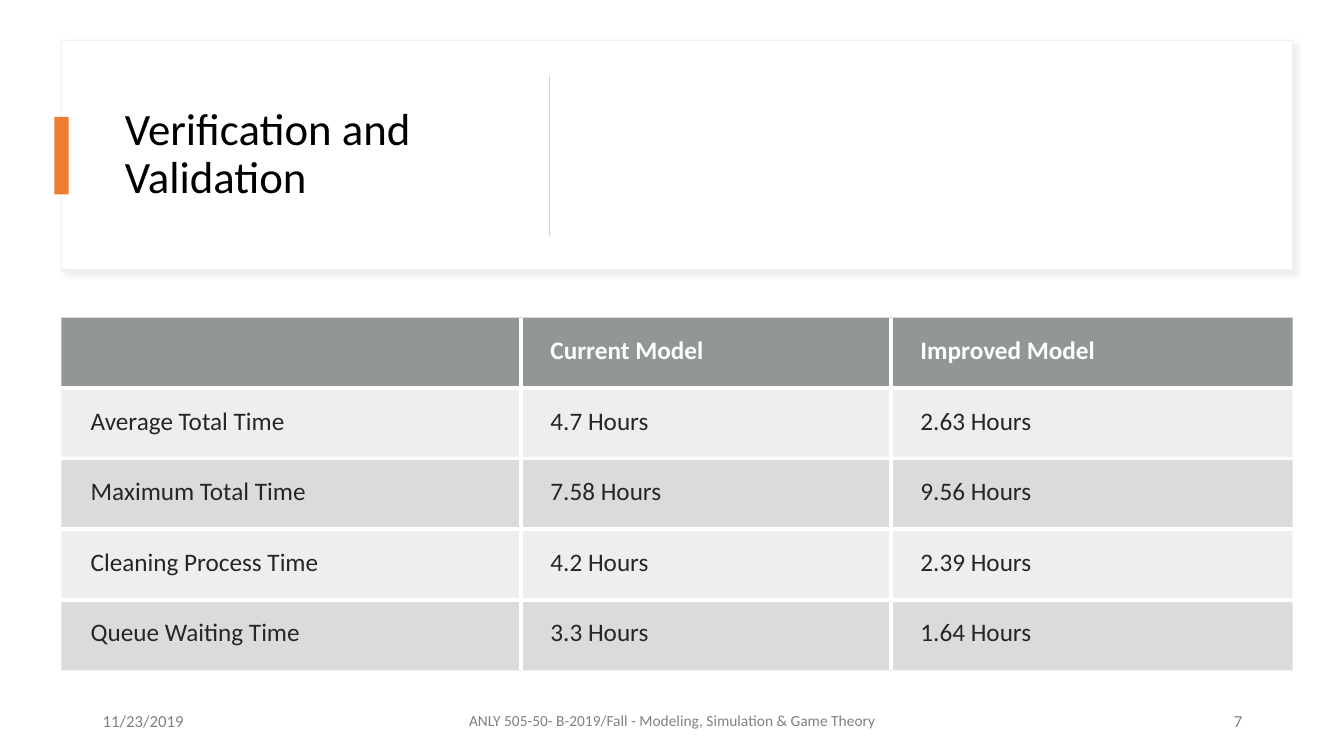
from lxml.etree import SubElement
from pptx import Presentation
from pptx.dml.color import RGBColor
from pptx.enum.shapes import MSO_SHAPE
from pptx.enum.text import MSO_ANCHOR, PP_ALIGN
from pptx.oxml import parse_xml
from pptx.oxml.ns import nsdecls, qn
from pptx.util import Inches, Pt

FONT = "Calibri"
WHITE, BLACK, GRAY, DARK = "FFFFFF", "000000", "808080", "262626"
ORANGE, PANEL_LINE, DIVIDER = "ED7D31", "EFEFEF", "D5D5D5"
HEADER_FILL, BODY_FILL = ("636B68", 70), ("878E8B", (15, 30))
LEFT, WIDTH = 0.61, 12.21
MODEL_TIMES = [
    ["", "Current Model", "Improved Model"],
    ["Average Total Time", "4.7 Hours", "2.63 Hours"],
    ["Maximum Total Time", "7.58 Hours", "9.56 Hours"],
    ["Cleaning Process Time", "4.2 Hours", "2.39 Hours"],
    ["Queue Waiting Time", "3.3 Hours", "1.64 Hours"],
]


def color(hex_value):
    return RGBColor.from_string(hex_value)


def write(frame, text, size=18, hex_value=BLACK, bold=False,
          align=PP_ALIGN.LEFT, line_spacing=None, space_after=0):
    frame.word_wrap = True
    paragraph = frame.paragraphs[0]
    paragraph.alignment = align
    paragraph.line_spacing = line_spacing
    paragraph.space_after = Pt(space_after)
    if not text:
        paragraph.font.size = Pt(size)
        return
    run = paragraph.add_run()
    run.text = text
    run.font.name = FONT
    run.font.size = Pt(size)
    run.font.bold = bold
    run.font.color.rgb = color(hex_value)


class SlideBuilder:
    def __init__(self, slide):
        self.slide = slide

    def rectangle(self, left, top, width, height, fill, line=None, rotation=0):
        shape = self.slide.shapes.add_shape(
            MSO_SHAPE.RECTANGLE, Inches(left), Inches(top), Inches(width), Inches(height))
        shape.shadow.inherit = False
        shape.rotation = rotation
        shape.fill.solid()
        shape.fill.fore_color.rgb = color(fill)
        if line:
            shape.line.color.rgb = color(line)
            shape.line.width = Pt(1)
        else:
            shape.line.fill.background()
        return shape

    def soft_shadow(self, shape):
        effects = shape._element.spPr.find(qn("a:effectLst"))
        effects.append(parse_xml(
            f'<a:outerShdw {nsdecls("a")} blurRad="{Pt(4)}" dist="{Pt(3)}" dir="2700000" '
            'algn="tl" rotWithShape="0"><a:srgbClr val="C5C3C3">'
            '<a:alpha val="30000"/></a:srgbClr></a:outerShdw>'))

    def text(self, left, top, width, height, text, **text_format):
        box = self.slide.shapes.add_textbox(
            Inches(left), Inches(top), Inches(width), Inches(height))
        box.text_frame.vertical_anchor = MSO_ANCHOR.MIDDLE
        write(box.text_frame, text, **text_format)

    def table(self, left, top, column_widths, row_height, rows):
        row_count, column_count = len(rows), len(column_widths)
        frame = self.slide.shapes.add_table(
            row_count, column_count, Inches(left), Inches(top),
            Inches(sum(column_widths)), Inches(row_height * row_count))
        table = frame.table
        for column, width in zip(table.columns, column_widths):
            column.width = Inches(width)
        for row_index, values in enumerate(rows):
            table.rows[row_index].height = Inches(row_height)
            header = row_index == 0
            body_color, body_alphas = BODY_FILL
            fill = HEADER_FILL if header else (body_color, body_alphas[(row_index - 1) % 2])
            for column_index, value in enumerate(values):
                cell = table.cell(row_index, column_index)
                cell.margin_left = Inches(0.29)
                cell.margin_top = cell.margin_right = cell.margin_bottom = Inches(0.18)
                write(cell.text_frame, value, bold=header,
                      hex_value=WHITE if header else DARK)
                self.cell_fill(cell, *fill)
                self.cell_borders(cell, {
                    "lnL": column_index > 0,
                    "lnR": column_index < column_count - 1,
                    "lnT": row_index > 0,
                    "lnB": row_index < row_count - 1,
                })

    def cell_fill(self, cell, hex_value, opacity):
        cell.fill.solid()
        cell.fill.fore_color.rgb = color(hex_value)
        fill_color = cell._tc.tcPr.find(".//" + qn("a:srgbClr"))
        SubElement(fill_color, qn("a:alpha"), val=str(opacity * 1000))

    def cell_borders(self, cell, edges):
        """Draw white rules on the inner edges and none on the outer ones."""
        for position, (tag, inner) in enumerate(edges.items()):
            paint = (f'<a:solidFill><a:srgbClr val="{WHITE}"/></a:solidFill>'
                     if inner else "<a:noFill/>")
            cell._tc.tcPr.insert(position, parse_xml(
                f'<a:{tag} {nsdecls("a")} w="{Pt(3)}">{paint}</a:{tag}>'))


def main():
    presentation = Presentation()
    presentation.slide_width, presentation.slide_height = Inches(13.33), Inches(7.5)
    builder = SlideBuilder(presentation.slides.add_slide(presentation.slide_layouts[6]))

    title_panel = builder.rectangle(LEFT, 0.4, WIDTH, 2.28, WHITE, line=PANEL_LINE)
    builder.soft_shadow(title_panel)
    builder.text(1.14, 0.64, 3.89, 1.8, "Verification and Validation",
                 size=32, line_spacing=0.9)
    builder.rectangle(0.54, 1.16, 0.14, 0.77, ORANGE)
    builder.rectangle(4.65, 1.54, 1.6, 0.01, DIVIDER, rotation=90)

    footers = [
        (0.92, 3, "11/23/2019", 12, PP_ALIGN.LEFT),
        (4.42, 4.5, "ANLY 505-50- B-2019/Fall - Modeling, Simulation & Game Theory",
         11, PP_ALIGN.CENTER),
        (9.42, 3, "7", 12, PP_ALIGN.RIGHT),
    ]
    for left, width, text, size, align in footers:
        builder.text(left, 6.95, width, 0.4, text, size=size, align=align,
                     hex_value=GRAY, space_after=6)

    builder.table(LEFT, 3.15, [4.56, 3.67, 3.98], 0.7, MODEL_TIMES)
    presentation.save("out.pptx")


if __name__ == "__main__":
    main()
